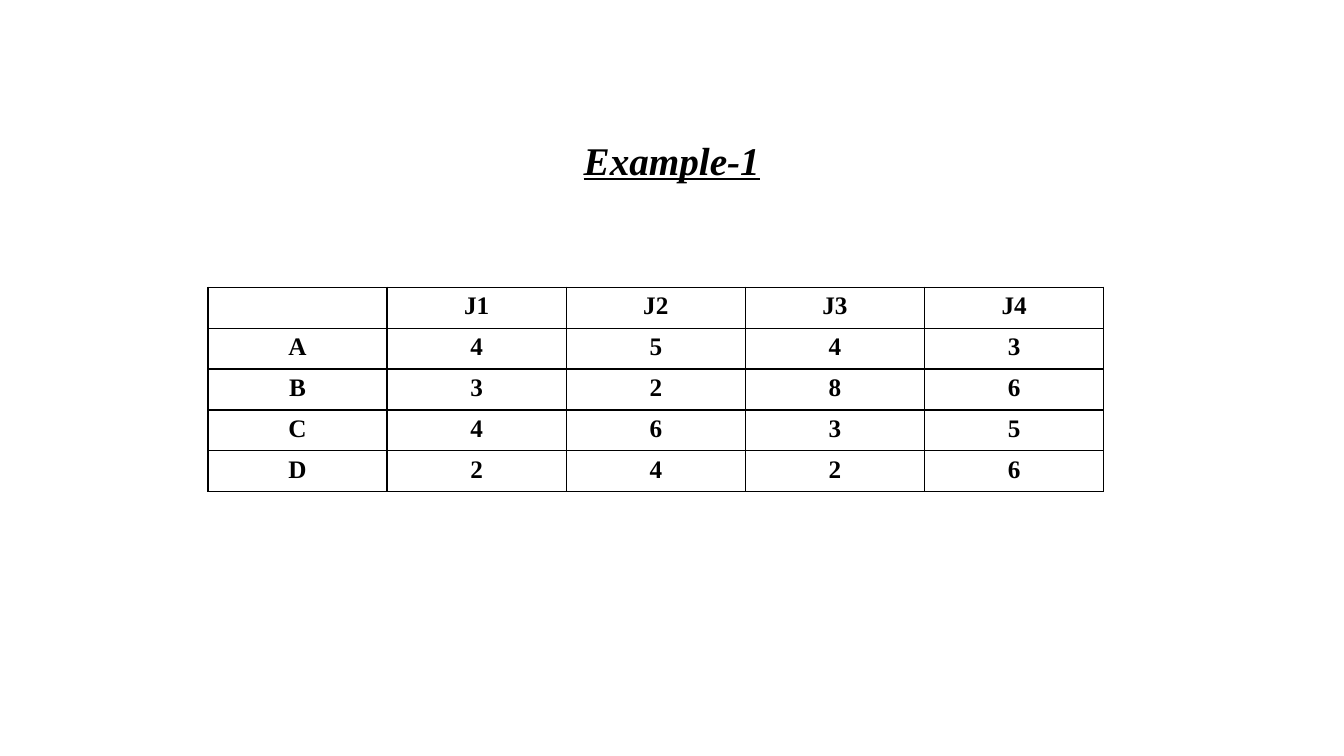
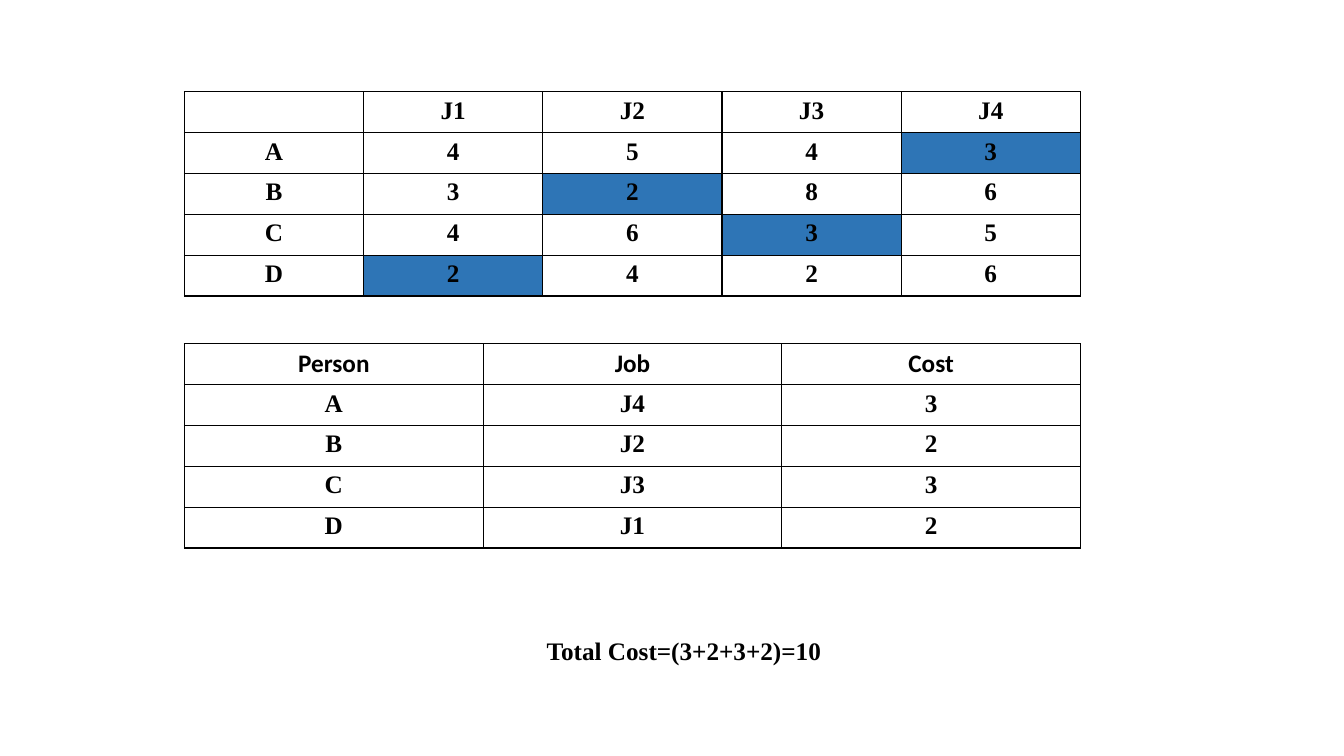
"""Build two slides on assigning four people to four jobs."""
from lxml.etree import SubElement as Sub
from pptx import Presentation as Deck
from pptx.dml.color import RGBColor as Rgb
from pptx.enum.text import MSO_AUTO_SIZE as Auto, PP_ALIGN as Align
from pptx.oxml.ns import qn
from pptx.util import Cm, Pt

BLACK, WHITE, BLUE = "000000", "FFFFFF", "2E75B6"
BODY = {"name": "Times New Roman", "size": Pt(18), "bold": True}
HEAD = BODY | {"name": "Calibri"}
TITLE = BODY | {"size": Pt(28), "italic": True, "underline": True}

WIDE, ROW = 22.58, 1.03
JOBS = ["J1", "J2", "J3", "J4"]
COSTS = {"A": [4, 5, 4, 3], "B": [3, 2, 8, 6],
         "C": [4, 6, 3, 5], "D": [2, 4, 2, 6]}
PICKS = {"A": "J4", "B": "J2", "C": "J3", "D": "J1"}


def paint(item, tone):
    """Give a fill or a font a solid colour."""
    if hasattr(item, "solid"):
        item.solid()
        item.fore_color.rgb = Rgb.from_string(tone)
    else:
        item.color.rgb = Rgb.from_string(tone)


def write(frame, text, form):
    """Write one centred paragraph in the given format."""
    para = frame.paragraphs[0]
    para.alignment = Align.CENTER
    run = para.add_run()
    run.text = str(text)
    for key, value in form.items():
        setattr(run.font, key, value)
    paint(run.font, BLACK)


def label(slide, left, top, width, height, text, form):
    """Add a wrapped line of text."""
    box = slide.shapes.add_textbox(Cm(left), Cm(top), Cm(width), Cm(height))
    frame = box.text_frame
    frame.word_wrap = True
    frame.auto_size = Auto.SHAPE_TO_FIT_TEXT
    write(frame, text, form)


def border(cell):
    """Draw a thin black line on each side of a cell."""
    props = cell._tc.get_or_add_tcPr()
    for side in ("lnL", "lnR", "lnT", "lnB"):
        line = Sub(props, qn("a:" + side), w=str(Pt(1)))
        fill = Sub(line, qn("a:solidFill"))
        Sub(fill, qn("a:srgbClr"), val=BLACK)


def grid(slide, left, top, rows, head=BODY, marks=()):
    """Add a ruled table with blue cells at the marks."""
    count, span = len(rows), len(rows[0])
    table = slide.shapes.add_table(count, span, Cm(left), Cm(top),
                                   Cm(WIDE), Cm(ROW * count)).table
    table.first_row = table.horz_banding = False
    for r, row in enumerate(rows):
        for c, text in enumerate(row):
            cell = table.cell(r, c)
            border(cell)
            paint(cell.fill, BLUE if (r, c) in marks else WHITE)
            write(cell.text_frame, text, BODY if r else head)


def main():
    """Build and save the slides."""
    deck = Deck()
    deck.slide_width, deck.slide_height = Cm(33.87), Cm(19.05)
    blank = deck.slide_layouts[6]
    matrix = [["", *JOBS]] + [[who, *costs] for who, costs in COSTS.items()]
    spots = {who: JOBS.index(job) for who, job in PICKS.items()}
    marks = {(r, c + 1) for r, c in enumerate(spots.values(), 1)}
    plan = [["Person", "Job", "Cost"]]
    plan += [[who, JOBS[c], COSTS[who][c]] for who, c in spots.items()]

    task = deck.slides.add_slide(blank)
    grid(task, 5.24, 7.24, matrix)
    label(task, 11.2, 3.3, 11.46, 1.45, "Example-1", TITLE)

    answer = deck.slides.add_slide(blank)
    grid(answer, 4.65, 2.31, matrix, marks=marks)
    grid(answer, 4.65, 8.66, plan, head=HEAD)
    label(answer, 11.05, 15.88, 12.37, 1.02, "Total Cost=(3+2+3+2)=10", BODY)
    deck.save("out.pptx")


main()
